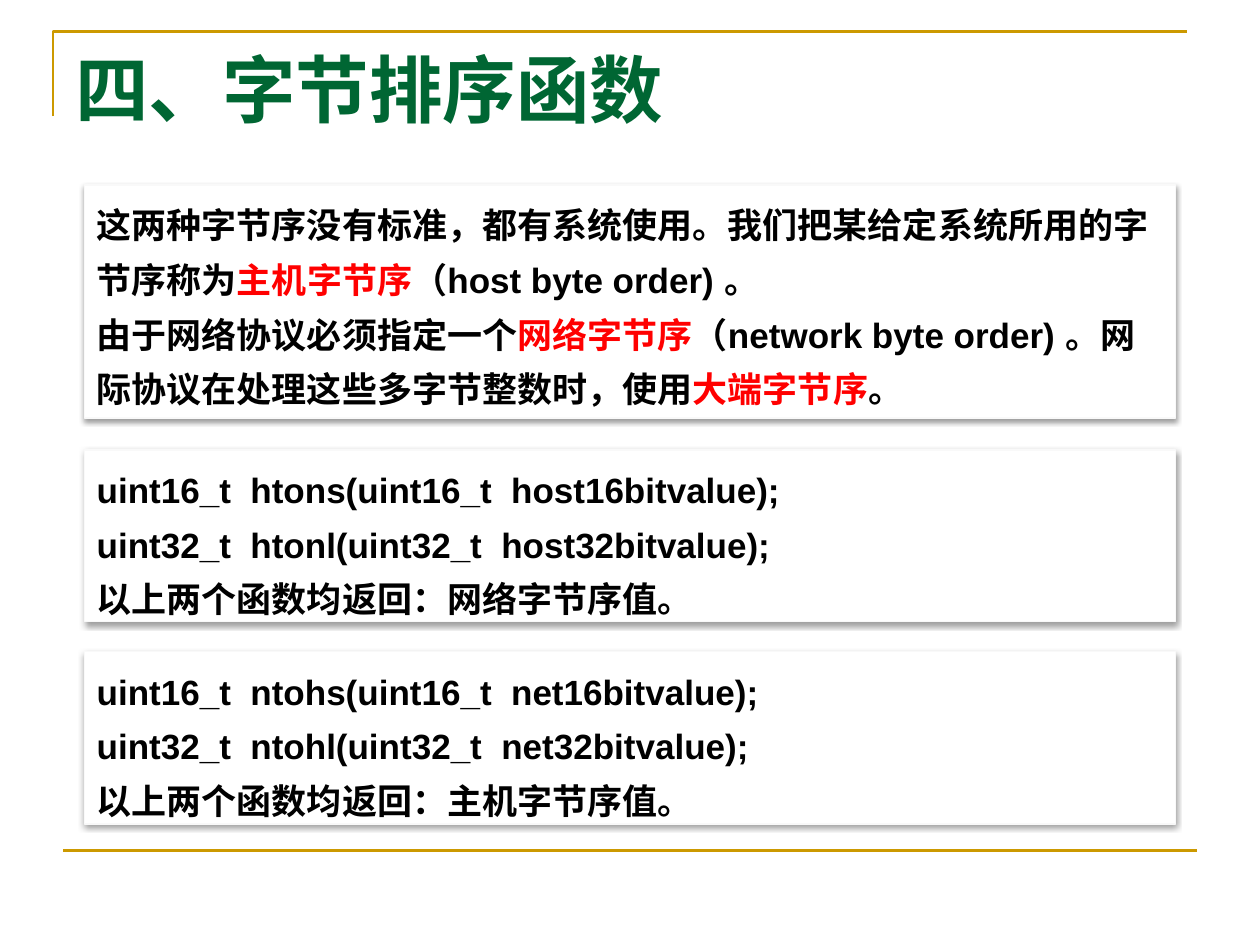
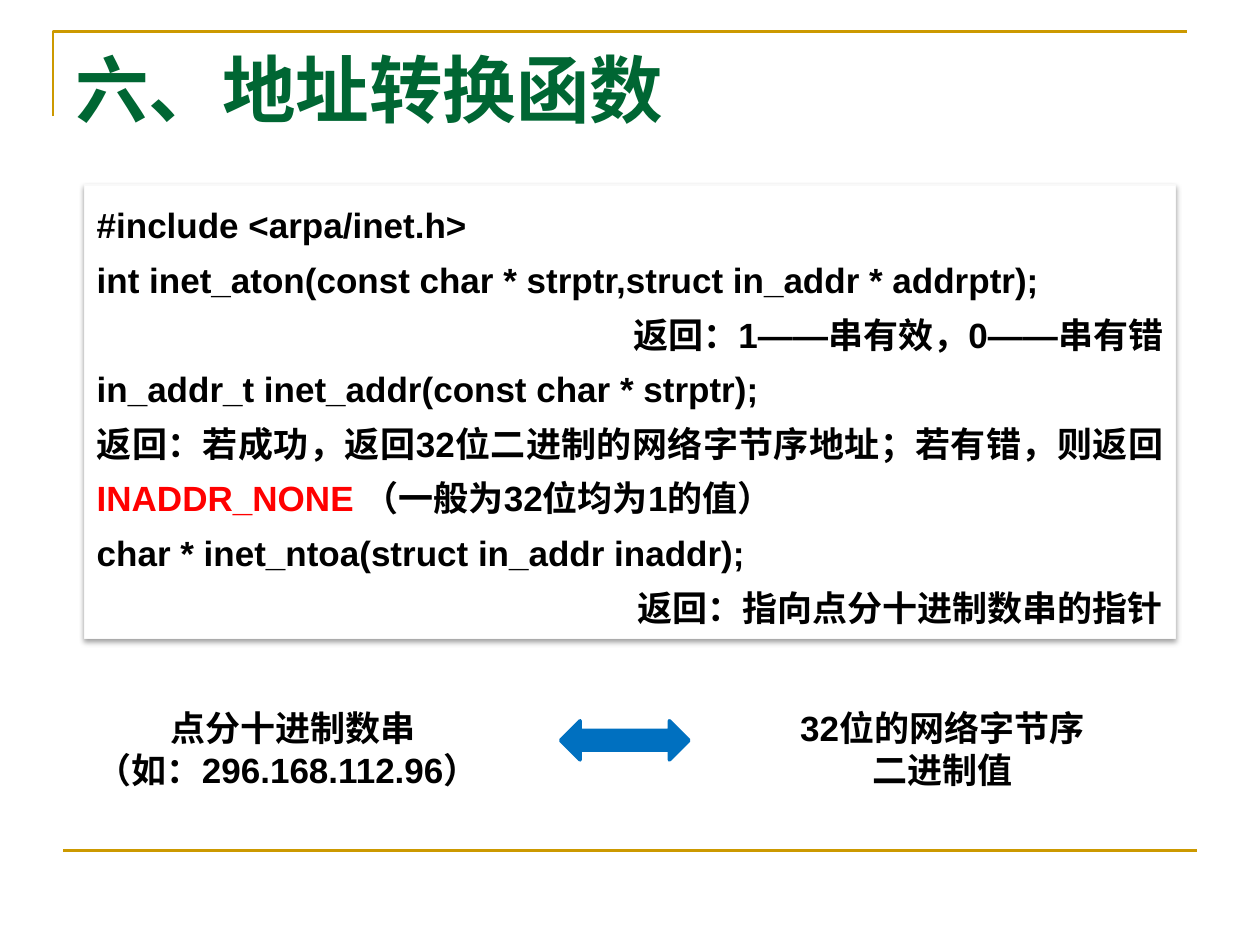
from lxml.etree import SubElement as Sub
from pptx import Presentation
from pptx.dml.color import RGBColor as Rgb
from pptx.enum.shapes import MSO_CONNECTOR as Conn, MSO_SHAPE as Kind
from pptx.enum.text import MSO_ANCHOR as Anchor, PP_ALIGN as Align
from pptx.oxml.ns import qn
from pptx.util import Cm, Pt

COLORS = {
    "title": "006633", "rule": "CC9900", "text": "000000", "key": "FF0000",
    "card": "FFFFFF", "edge": "F9F9F9", "arrow": "0070C0",
}
L, R, C, J = Align.LEFT, Align.RIGHT, Align.CENTER, Align.JUSTIFY
LEFT, WIDTH = 1.7, 22

# Text between bars is set in the key colour.
SLIDES = [
    {
        "title": "四、字节排序函数",
        "cards": [
            (3.73, 4.7, [
                (L, "这两种字节序没有标准，都有系统使用。我们把某给定系统所用的字节序称为|主机字节序|（host byte order) 。"),
                (L, "由于网络协议必须指定一个|网络字节序|（network byte order) 。网际协议在处理这些多字节整数时，使用|大端字节序|。"),
            ]),
            (9.07, 3.46, [
                (L, "uint16_t  htons(uint16_t  host16bitvalue);"),
                (L, "uint32_t  htonl(uint32_t  host32bitvalue);"),
                (L, "以上两个函数均返回：网络字节序值。"),
            ]),
            (13.13, 3.48, [
                (L, "uint16_t  ntohs(uint16_t  net16bitvalue);"),
                (L, "uint32_t  ntohl(uint32_t  net32bitvalue);"),
                (L, "以上两个函数均返回：主机字节序值。"),
            ]),
        ],
        "labels": [],
        "arrows": [],
    },
    {
        "title": "六、地址转换函数",
        "cards": [
            (3.73, 9.14, [
                (L, "#include <arpa/inet.h>"),
                (L, "int inet_aton(const char * strptr,struct in_addr * addrptr);"),
                (R, "返回：1——串有效，0——串有错"),
                (L, "in_addr_t inet_addr(const char * strptr);"),
                (J, "返回：若成功，返回32位二进制的网络字节序地址；若有错，则返回 |INADDR_NONE |（一般为32位均为1的值）"),
                (L, "char * inet_ntoa(struct in_addr inaddr);"),
                (R, "返回：指向点分十进制数串的指针"),
            ]),
        ],
        "labels": [
            (LEFT, 8.41, [(C, "点分十进制数串"), (L, "（如：296.168.112.96）")]),
            (14.3, 9.4, [(C, "32位的网络字节序"), (C, "二进制值")]),
        ],
        "arrows": [(11.3, 14.53, 2.59, 0.79)],
    },
]


def color(name):
    return Rgb.from_string(COLORS[name])


def paint(shape, fill, line, width):
    shape.shadow.inherit = False
    shape.fill.solid()
    shape.fill.fore_color.rgb = color(fill)
    shape.line.color.rgb = color(line)
    shape.line.width = Pt(width)


def write(shape, lines, size=20, font="Arial", hue="text", gap=None):
    frame = shape.text_frame
    frame.word_wrap = True
    frame.vertical_anchor = Anchor.TOP
    for i, (align, text) in enumerate(lines):
        para = frame.add_paragraph() if i else frame.paragraphs[0]
        para.alignment = align
        if gap:
            para.line_spacing = gap
        for k, part in enumerate(text.split("|")):
            run = para.add_run()
            run.text = part
            run.font.name = font
            run.font.size = Pt(size)
            run.font.bold = True
            run.font.color.rgb = color("key" if k % 2 else hue)


def add_box(slide, x, y, w, h):
    return slide.shapes.add_textbox(Cm(x), Cm(y), Cm(w), Cm(h))


def add_frame(slide, title):
    build = slide.shapes.build_freeform(Cm(1.07), Cm(2.34))
    build.add_line_segments(
        [(Cm(1.07), Cm(0.64)), (Cm(23.93), Cm(0.64))], close=False)
    corner = build.convert_to_shape()
    corner.shadow.inherit = False
    corner.fill.background()
    rule = slide.shapes.add_connector(
        Conn.STRAIGHT, Cm(1.27), Cm(17.14), Cm(24.13), Cm(17.14))
    Sub(rule._element.spPr, qn("a:effectLst"))
    for part in (corner, rule):
        part.line.color.rgb = color("rule")
        part.line.width = Pt(1.5)
    box = add_box(slide, 1.27, 0.76, 21.03, 3.18)
    write(box, [(L, title)], 42, "Times New Roman", "title")


def add_card(slide, y, h, lines):
    card = slide.shapes.add_shape(
        Kind.RECTANGLE, Cm(LEFT), Cm(y), Cm(WIDTH), Cm(h))
    paint(card, "card", "edge", 0.75)
    effects = card._element.spPr.find(qn("a:effectLst"))
    shade = Sub(effects, qn("a:outerShdw"), blurRad=str(Pt(3.1)),
                dist=str(Pt(1.6)), dir="5400000", rotWithShape="0")
    tone = Sub(shade, qn("a:srgbClr"), val=COLORS["text"])
    Sub(tone, qn("a:alpha"), val="38000")
    write(card, lines, gap=1.3)


def main():
    deck = Presentation()
    deck.slide_width, deck.slide_height = Cm(25.4), Cm(19.05)
    for page in SLIDES:
        slide = deck.slides.add_slide(deck.slide_layouts[6])
        add_frame(slide, page["title"])
        for card in page["cards"]:
            add_card(slide, *card)
        for x, w, lines in page["labels"]:
            write(add_box(slide, x, 14.12, w, 1.96), lines)
        for spot in page["arrows"]:
            arrow = slide.shapes.add_shape(
                Kind.LEFT_RIGHT_ARROW, *map(Cm, spot))
            paint(arrow, "arrow", "arrow", 2)
    deck.save("out.pptx")


if __name__ == "__main__":
    main()
